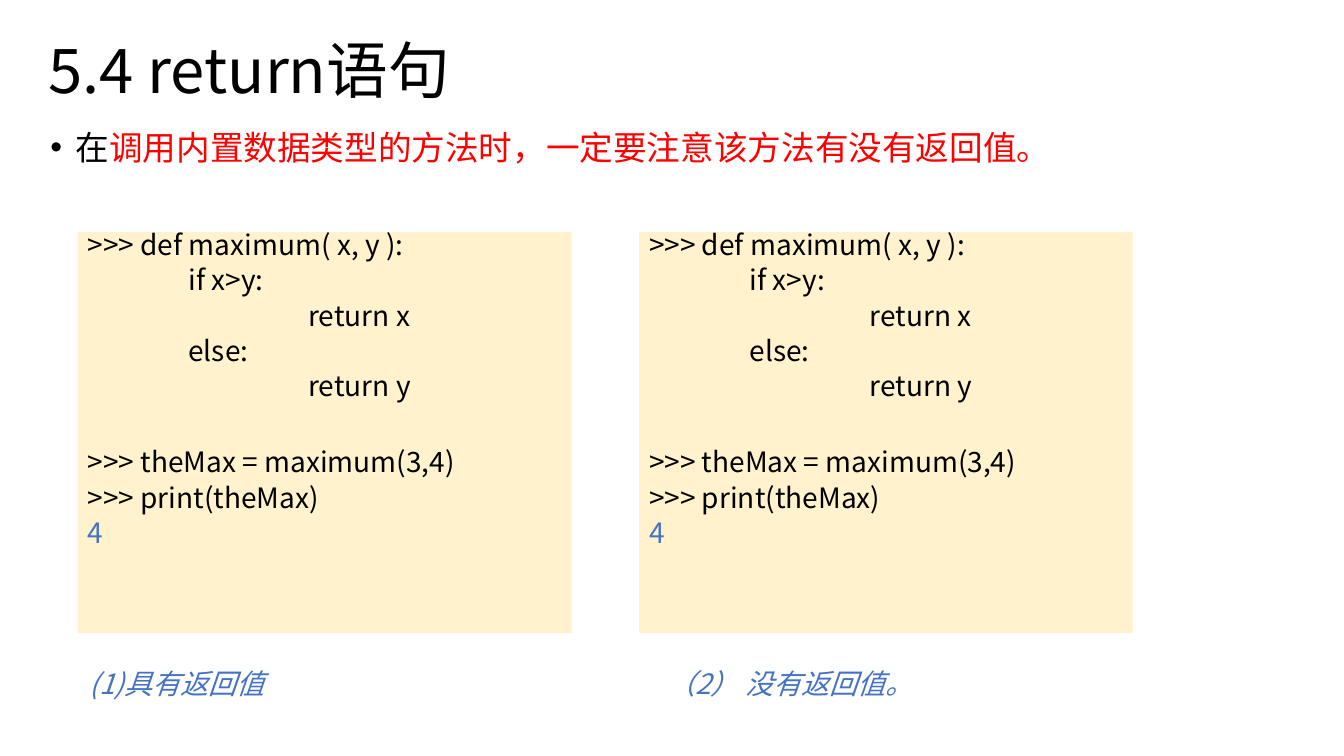
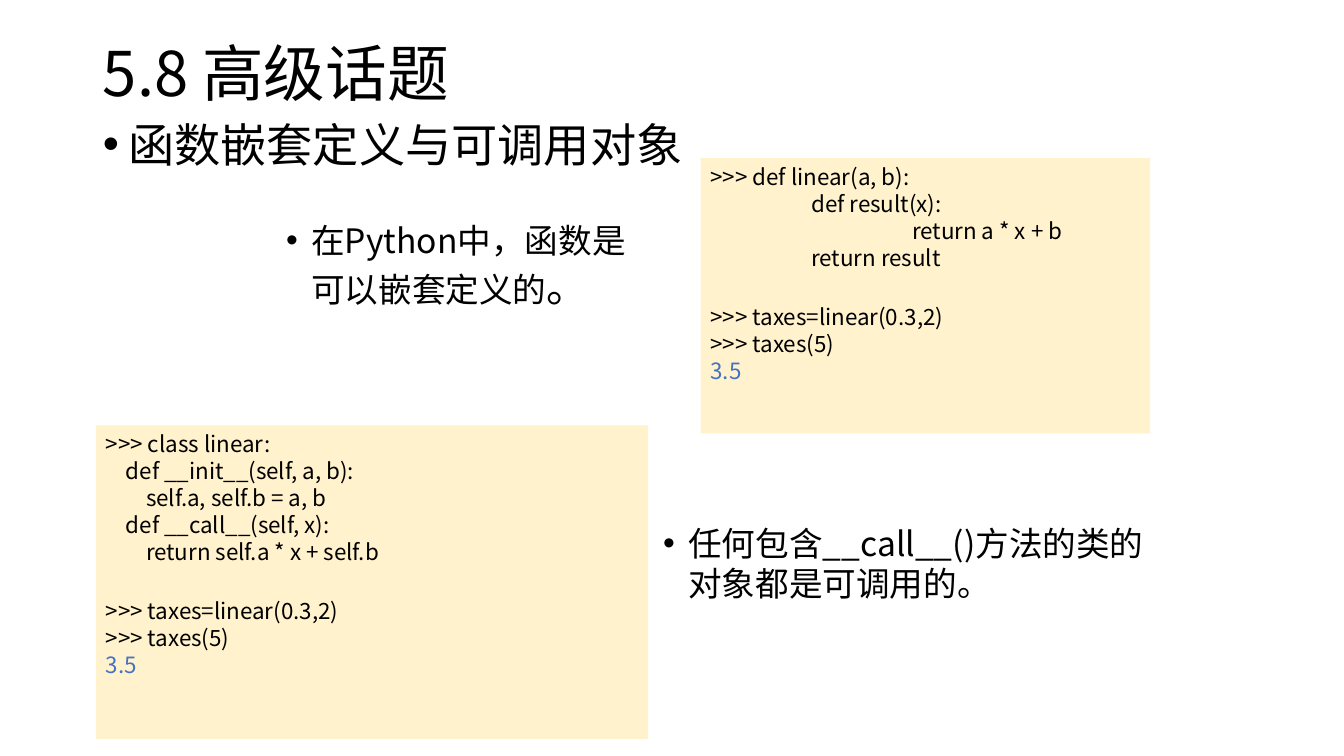
import pptx
import pptx.dml.color
import pptx.enum.shapes
import pptx.enum.text
import pptx.oxml.ns
import pptx.util
from lxml import etree

RGBColor = pptx.dml.color.RGBColor
Inches, Pt = pptx.util.Inches, pptx.util.Pt
PP_ALIGN = pptx.enum.text.PP_ALIGN
MSO_ANCHOR = pptx.enum.text.MSO_ANCHOR
qn = pptx.oxml.ns.qn

# Shared look
FONT = "Noto Sans CJK SC"
BLACK = RGBColor(0, 0, 0)
RED = RGBColor(0xFF, 0, 0)
BLUE = RGBColor(0x44, 0x72, 0xC4)
CREAM = RGBColor(0xFF, 0xF2, 0xCC)
SLIDE_W, SLIDE_H = Inches(13.33), Inches(7.5)
TITLE_SIZE = (86.25, 19.33)
LINE_HEIGHT = 1.448  # natural line height of the font, in ems

# Code listings: (indent in inches, text); None leaves a one-line gap
MAXIMUM_CODE = [
    (0, ">>> def maximum( x, y ):"),
    (1, "if x>y:"),
    (2.19, "return x"),
    (1, "else:"),
    (2.19, "return y"),
    None,
    (0, ">>> theMax = maximum(3,4)"),
    (0, ">>> print(theMax)"),
    (0, "4"),
]
TAXES_CODE = [
    None,
    (0, ">>> taxes=linear(0.3,2)"),
    (0, ">>> taxes(5)"),
    (0, "3.5"),
]
CLOSURE_CODE = [
    (0, ">>> def linear(a, b):"),
    (1, "def result(x):"),
    (2, "return a * x + b"),
    (1, "return result"),
] + TAXES_CODE
CLASS_CODE = [
    (0, ">>> class linear:"),
    (0.2, "def __init__(self, a, b):"),
    (0.4, "self.a, self.b = a, b"),
    (0.2, "def __call__(self, x):"),
    (0.4, "return self.a * x + self.b"),
] + TAXES_CODE


def box(x, y, w, h):
    """Turn percentages of the slide into left, top, width, height."""
    return [int(share * side / 100) for share, side in
            zip((x, y, w, h), (SLIDE_W, SLIDE_H, SLIDE_W, SLIDE_H))]


def place(sp, area):
    sp.left, sp.top, sp.width, sp.height = box(*area)


def set_frame(tf, side=0.1, top=0.05, anchor=MSO_ANCHOR.TOP):
    tf.word_wrap = True
    tf.auto_size = pptx.enum.text.MSO_AUTO_SIZE.NONE
    tf.vertical_anchor = anchor
    tf.margin_left = tf.margin_right = Inches(side)
    tf.margin_top, tf.margin_bottom = Inches(top), Inches(0.05)


def set_paragraph(p, spacing=1.0, before=0, indent=0, hanging=0):
    p.alignment = PP_ALIGN.LEFT
    p.line_spacing, p.space_before = spacing, Pt(before)
    pPr = p._p.get_or_add_pPr()
    pPr.set("marL", str(Inches(indent)))
    pPr.set("indent", str(-Inches(hanging)))
    return pPr


def set_run(r, size, color=BLACK, italic=False):
    r.font.name, r.font.size = FONT, Pt(size)
    r.font.color.rgb, r.font.italic = color, italic
    ea = etree.SubElement(r._r.get_or_add_rPr(), qn("a:ea"))
    ea.set("typeface", FONT)


def set_bullet(sp, parts, indent=0.25, spacing=1.0, **margins):
    """Write one bulleted paragraph made of (text, size, color) parts."""
    tf = sp.text_frame
    set_frame(tf, **margins)
    p = tf.paragraphs[0]
    pPr = set_paragraph(p, spacing, indent=indent, hanging=0.25)
    etree.SubElement(pPr, qn("a:buFont")).set("typeface", "Arial")
    etree.SubElement(pPr, qn("a:buChar")).set("char", "•")
    for text, size, color in parts:
        r = p.add_run()
        r.text = text
        set_run(r, size, color)


def add_slide(prs, title, x, y):
    """Add a slide with its title; return it with its body placeholder."""
    s = prs.slides.add_slide(prs.slide_layouts[1])
    place(s.shapes.title, (x, y, *TITLE_SIZE))
    tf = s.shapes.title.text_frame
    tf.text = title
    set_frame(tf, anchor=MSO_ANCHOR.MIDDLE)
    set_paragraph(tf.paragraphs[0], 0.9)
    set_run(tf.paragraphs[0].runs[0], 44)
    return s, s.placeholders[1]


def add_text(s, area):
    return s.shapes.add_textbox(*box(*area))


def add_caption(s, text, area):
    tf = add_text(s, area).text_frame
    tf.text = text
    set_frame(tf, side=0.12, top=0.03)
    set_paragraph(tf.paragraphs[0])
    set_run(tf.paragraphs[0].runs[0], 20, BLUE, italic=True)


def add_code(s, lines, area, size, spacing=1.0, before=0, top=0.05):
    """Add a cream code panel whose last line is the printed result."""
    sp = s.shapes.add_shape(pptx.enum.shapes.MSO_SHAPE.RECTANGLE, *box(*area))
    sp.shadow.inherit = False
    sp.fill.solid()
    sp.fill.fore_color.rgb = CREAM
    sp.line.fill.background()
    tf = sp.text_frame
    tf.text = "\n".join(line[1] for line in lines if line)
    set_frame(tf, top=top)
    paragraphs = iter(tf.paragraphs)
    gap = 0
    for line in lines:
        if line is None:
            gap += before + size * LINE_HEIGHT * spacing
            continue
        p = next(paragraphs)
        set_paragraph(p, spacing, round(gap, 1), indent=line[0])
        set_run(p.runs[0], size, BLUE if line is lines[-1] else BLACK)
        gap = before


def build_return_slide(prs):
    s, body = add_slide(prs, "5.4 return语句", 2.85, 0)
    place(body, (2.85, 16.53, 91.8, 9.07))
    set_bullet(body, [
        ("在", 24, BLACK),
        ("调用内置数据类型的方法时，一定要注意该方法有没有返回值。", 24, RED),
    ], spacing=0.9, side=0.12, top=0.06)

    # Two equal panels, each with a caption below
    captions = [("(1)具有返回值", 5.78), ("（2） 没有返回值。", 48.75)]
    for i, (text, x) in enumerate(captions):
        add_code(s, MAXIMUM_CODE, (5.78 + i * 41.77, 30.67, 36.75, 53.07),
                 20, spacing=0.8, before=6, top=0.02)
        add_caption(s, text, (x, 87.8, 35.93, 12.1))


def build_advanced_slide(prs):
    s, body = add_slide(prs, "5.8 高级话题", 6.9, 0.4)
    place(body, (6.9, 14, 73.1, 10.93))
    set_bullet(body, [("函数嵌套定义与可调用对象", 33, BLACK)], top=0.1)

    # Nested function and callable class
    add_code(s, CLOSURE_CODE, (52.13, 20.93, 33.45, 36.4), 16)
    add_code(s, CLASS_CODE, (7.13, 56.27, 41.1, 41.47), 16)

    # Remarks beside the code
    set_bullet(add_text(s, (16.8, 28, 31.5, 16.4)), [
        ("在Python中，函数是可以嵌套定义的", 24, BLACK),
        ("。", 30, BLACK),
    ], indent=0.75, top=0.08)
    set_bullet(add_text(s, (44.85, 68.53, 43.43, 17.47)), [
        ("任何包含__call__()方法的类的对象都是可调用的。", 24, BLACK),
    ], indent=0.75)


def main():
    prs = pptx.Presentation()
    prs.slide_width, prs.slide_height = SLIDE_W, SLIDE_H
    build_return_slide(prs)
    build_advanced_slide(prs)
    prs.save("out.pptx")


if __name__ == "__main__":
    main()
